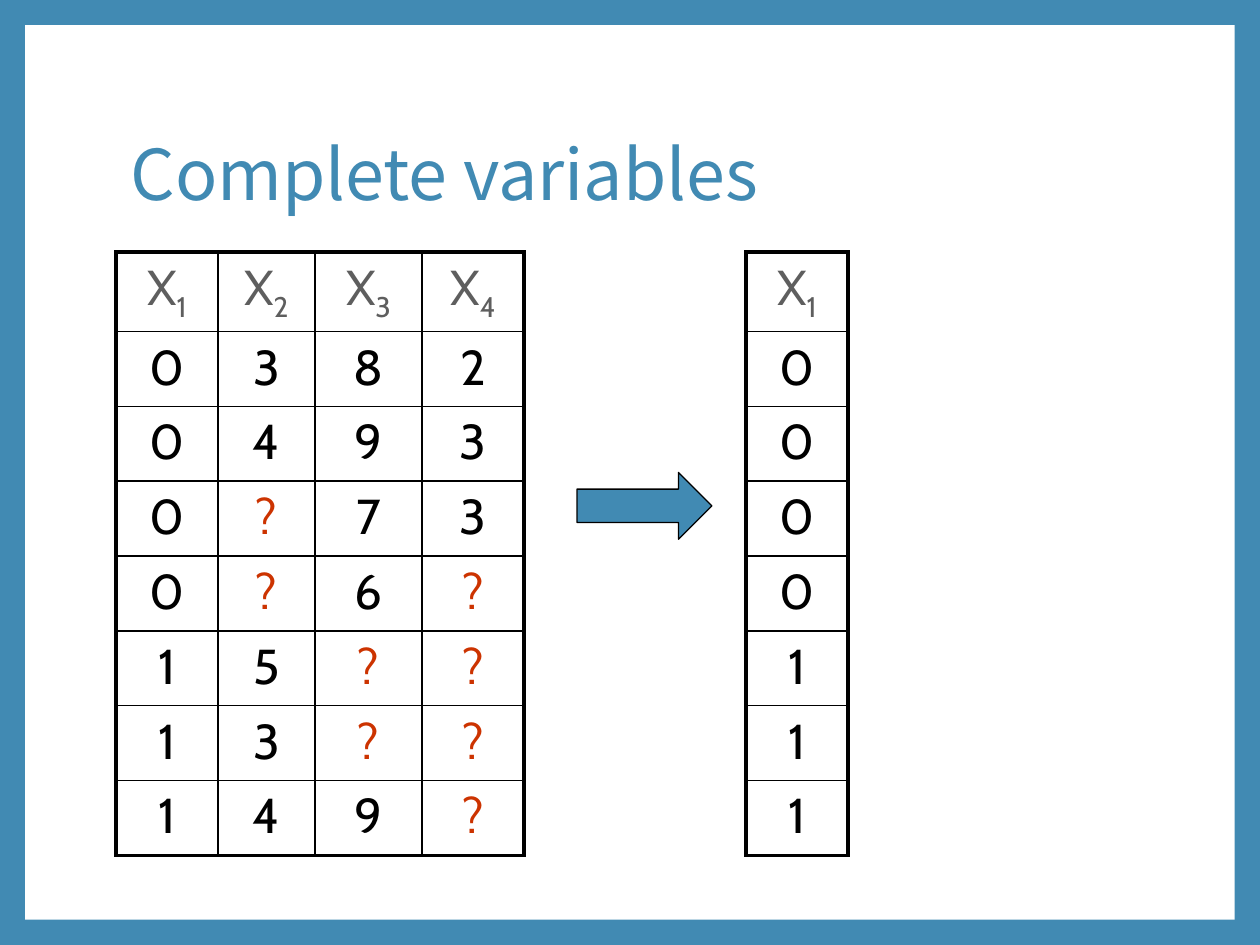
"""Build a slide showing how a data table reduces to its complete variable."""
from dataclasses import dataclass

from lxml import etree
from pptx import Presentation
from pptx.dml.color import RGBColor
from pptx.enum.shapes import MSO_SHAPE
from pptx.enum.text import MSO_ANCHOR, PP_ALIGN
from pptx.oxml.ns import qn
from pptx.util import Inches, Pt

RECTANGLE = MSO_SHAPE.RECTANGLE
RIGHT_ARROW = MSO_SHAPE.RIGHT_ARROW
MIDDLE = MSO_ANCHOR.MIDDLE
CENTER = PP_ALIGN.CENTER


@dataclass(frozen=True)
class Theme:
    blue: str = "418AB3"
    white: str = "FFFFFF"
    black: str = "000000"
    gray: str = "5E5E5E"
    red: str = "CC3300"
    title_font: str = "Noto Sans CJK SC"
    table_font: str = "Cabin"
    title_size: float = 40
    table_size: float = 28
    outer_line: float = 2.25
    inner_line: float = 1
    arrow_line: float = 0.75


@dataclass(frozen=True)
class DataTable:
    left: float
    widths: tuple[float, ...]
    rows: tuple[str, ...]


THEME = Theme()
TABLE_TOP, TABLE_HEIGHT = 2, 4.75
FULL_ROWS = ("1234", "0382", "0493", "0?73", "0?6?", "15??", "13??", "149?")
TABLES = (
    DataTable(0.92, (0.81, 0.77, 0.85, 0.81), FULL_ROWS),
    DataTable(5.92, (0.81,), tuple(row[0] for row in FULL_ROWS)),
)


def add_span(para, text: str, font: str, size: float, color: str):
    span = para.add_run()
    span.text = text
    for name, value in {"name": font, "size": Pt(size)}.items():
        setattr(span.font, name, value)
    span.font.color.rgb = RGBColor.from_string(color)
    return span


def add_block(page, kind, left: float, top: float, width: float, height: float, fill: str):
    block = page.shapes.add_shape(kind, Inches(left), Inches(top), Inches(width), Inches(height))
    block.shadow.inherit = False
    block.fill.solid()
    block.fill.fore_color.rgb = RGBColor.from_string(fill)
    block.line.fill.background()
    return block


def add_title(page, text: str) -> None:
    box = page.shapes.add_textbox(Inches(0.94), Inches(0.67), Inches(8.1), Inches(1.48))
    frame = box.text_frame
    for name, value in {"word_wrap": True, "vertical_anchor": MIDDLE}.items():
        setattr(frame, name, value)
    para = frame.paragraphs[0]
    para.line_spacing = 0.9
    add_span(para, text, THEME.title_font, THEME.title_size, THEME.blue)


def set_borders(cell, outer_sides: dict[str, bool]) -> None:
    properties = cell._tc.get_or_add_tcPr()
    for side, is_outer in outer_sides.items():
        width = THEME.outer_line if is_outer else THEME.inner_line
        line = etree.SubElement(properties, qn(f"a:ln{side}"), w=str(Pt(width)))
        fill = etree.SubElement(line, qn("a:solidFill"))
        etree.SubElement(fill, qn("a:srgbClr"), val=THEME.black)


def write_cell(cell, value: str, is_header: bool) -> None:
    para = cell.text_frame.paragraphs[0]
    para.alignment = CENTER
    spacing = etree.SubElement(para._p.get_or_add_pPr(), qn("a:spcBef"))
    etree.SubElement(spacing, qn("a:spcPct"), val="20000")
    style = (THEME.table_font, THEME.table_size)
    if is_header:
        add_span(para, "X", *style, THEME.gray)
        subscript = add_span(para, value, *style, THEME.gray)
        subscript.font._element.set("baseline", "-25000")
    else:
        add_span(para, value, *style, THEME.red if value == "?" else THEME.black)


def add_data_table(page, data: DataTable) -> None:
    row_count, column_count = len(data.rows), len(data.widths)
    table = page.shapes.add_table(
        row_count, column_count, Inches(data.left), Inches(TABLE_TOP),
        Inches(sum(data.widths)), Inches(TABLE_HEIGHT),
    ).table
    for name, value in {"first_row": False, "horz_banding": False}.items():
        setattr(table, name, value)
    for column, width in zip(table.columns, data.widths):
        column.width = Inches(width)
    for row_index, values in enumerate(data.rows):
        table.rows[row_index].height = Inches(TABLE_HEIGHT / row_count)
        for column_index, value in enumerate(values):
            cell = table.cell(row_index, column_index)
            write_cell(cell, value, row_index == 0)
            set_borders(cell, {
                "L": column_index == 0,
                "R": column_index == column_count - 1,
                "T": row_index == 0,
                "B": row_index == row_count - 1,
            })
            cell.fill.background()


def build() -> None:
    deck = Presentation()
    deck.slide_width, deck.slide_height = Inches(10), Inches(7.5)
    page = deck.slides.add_slide(deck.slide_layouts[6])
    page.background.fill.solid()
    page.background.fill.fore_color.rgb = RGBColor.from_string(THEME.blue)
    add_block(page, RECTANGLE, 0.2, 0.2, 9.6, 7.1, THEME.white)
    add_title(page, "Complete variables")
    for data in TABLES:
        add_data_table(page, data)
    arrow = add_block(page, RIGHT_ARROW, 4.58, 3.75, 1.07, 0.53, THEME.blue)
    arrow.line.color.rgb = RGBColor.from_string(THEME.black)
    arrow.line.width = Pt(THEME.arrow_line)
    deck.save("out.pptx")


build()
